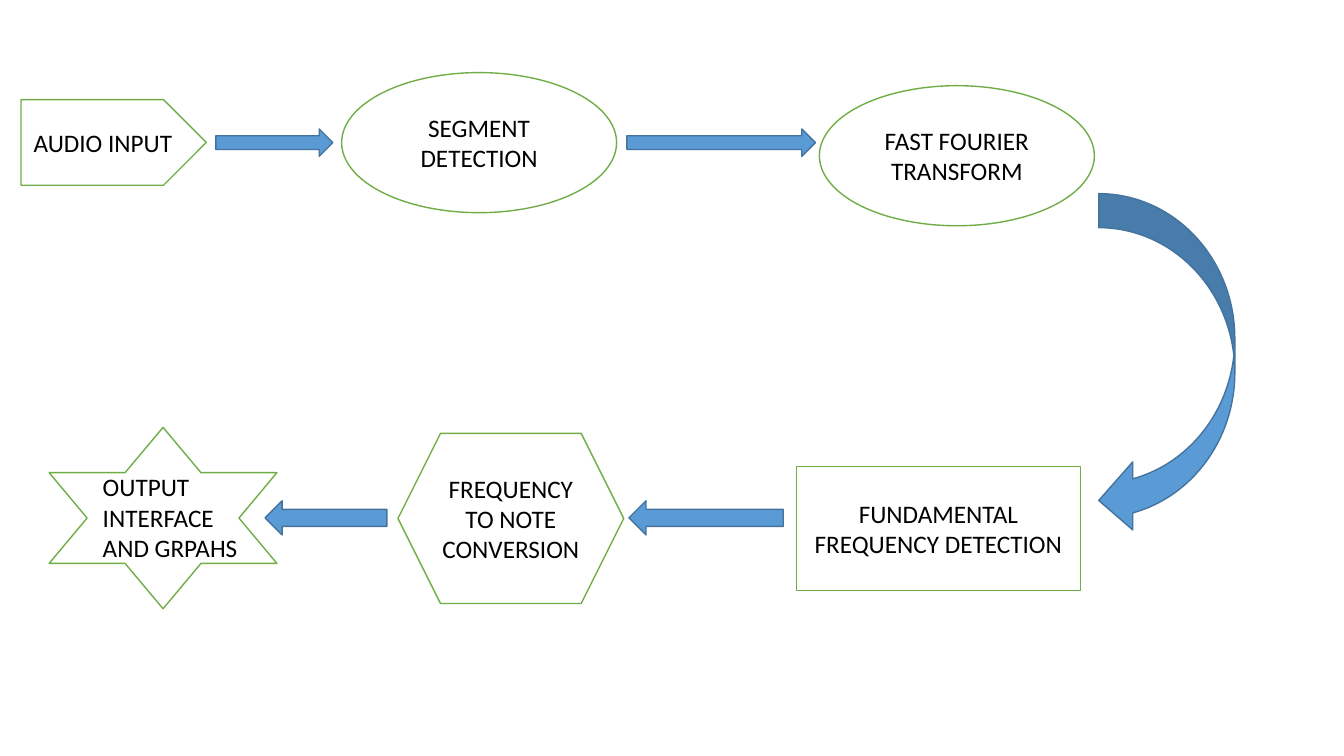
from pptx import Presentation
from pptx.dml.color import RGBColor
from pptx.enum.shapes import MSO_SHAPE
from pptx.enum.text import MSO_ANCHOR, MSO_AUTO_SIZE, PP_ALIGN
from pptx.util import Cm, Pt

WHITE = RGBColor(0xFF, 0xFF, 0xFF)
BLACK = RGBColor(0, 0, 0)
GREEN = RGBColor(0x70, 0xAD, 0x47)
BLUE = RGBColor(0x5B, 0x9B, 0xD5)
NAVY = RGBColor(0x43, 0x73, 0x9E)

deck = Presentation()
deck.slide_width, deck.slide_height = Cm(33.87), Cm(19.05)
slide = deck.slides.add_slide(deck.slide_layouts[6])


def draw(kind, box, fill, edge):
    shape = slide.shapes.add_shape(kind, *map(Cm, box))
    shape.shadow.inherit = False
    shape.fill.solid()
    shape.fill.fore_color.rgb = fill
    shape.line.color.rgb = edge
    shape.line.width = Pt(1)
    return shape


def write(shape, text, align):
    frame = shape.text_frame
    frame.word_wrap = True
    frame.text = text
    para = frame.paragraphs[0]
    para.alignment = align
    para.font.name = "Calibri"
    para.font.size = Pt(18)
    para.font.color.rgb = BLACK
    return frame


steps = [
    (MSO_SHAPE.PENTAGON, (0.53, 2.51, 4.67, 2.16), "AUDIO INPUT"),
    (MSO_SHAPE.OVAL, (8.61, 1.83, 6.93, 3.53), "SEGMENT DETECTION"),
    (MSO_SHAPE.OVAL, (20.65, 2.16, 6.93, 3.53), "FAST FOURIER TRANSFORM"),
    (MSO_SHAPE.RECTANGLE, (20.07, 11.76, 7.16, 3.12), "FUNDAMENTAL FREQUENCY DETECTION"),
    (MSO_SHAPE.HEXAGON, (10.03, 10.92, 5.69, 4.29), "FREQUENCY TO NOTE CONVERSION"),
]
for kind, box, text in steps:
    step = draw(kind, box, WHITE, GREEN)
    write(step, text, PP_ALIGN.CENTER).vertical_anchor = MSO_ANCHOR.MIDDLE

draw(MSO_SHAPE.STAR_6_POINT, (1.24, 10.77, 5.74, 4.57), WHITE, GREEN)
label = slide.shapes.add_textbox(Cm(2.34), Cm(11.76), Cm(4.17), Cm(2.57))
write(label, "OUTPUT INTERFACE AND GRPAHS", PP_ALIGN.LEFT).auto_size = MSO_AUTO_SIZE.SHAPE_TO_FIT_TEXT

for left, width in [(5.44, 2.95), (15.8, 4.75)]:
    draw(MSO_SHAPE.RIGHT_ARROW, (left, 3.25, width, 0.69), BLUE, NAVY)
draw(MSO_SHAPE.CURVED_LEFT_ARROW, (27.69, 4.88, 3.43, 8.59), BLUE, NAVY)
for left, width in [(15.85, 3.89), (6.68, 3.07)]:
    draw(MSO_SHAPE.LEFT_ARROW, (left, 12.62, width, 0.86), BLUE, NAVY)

deck.save("out.pptx")
